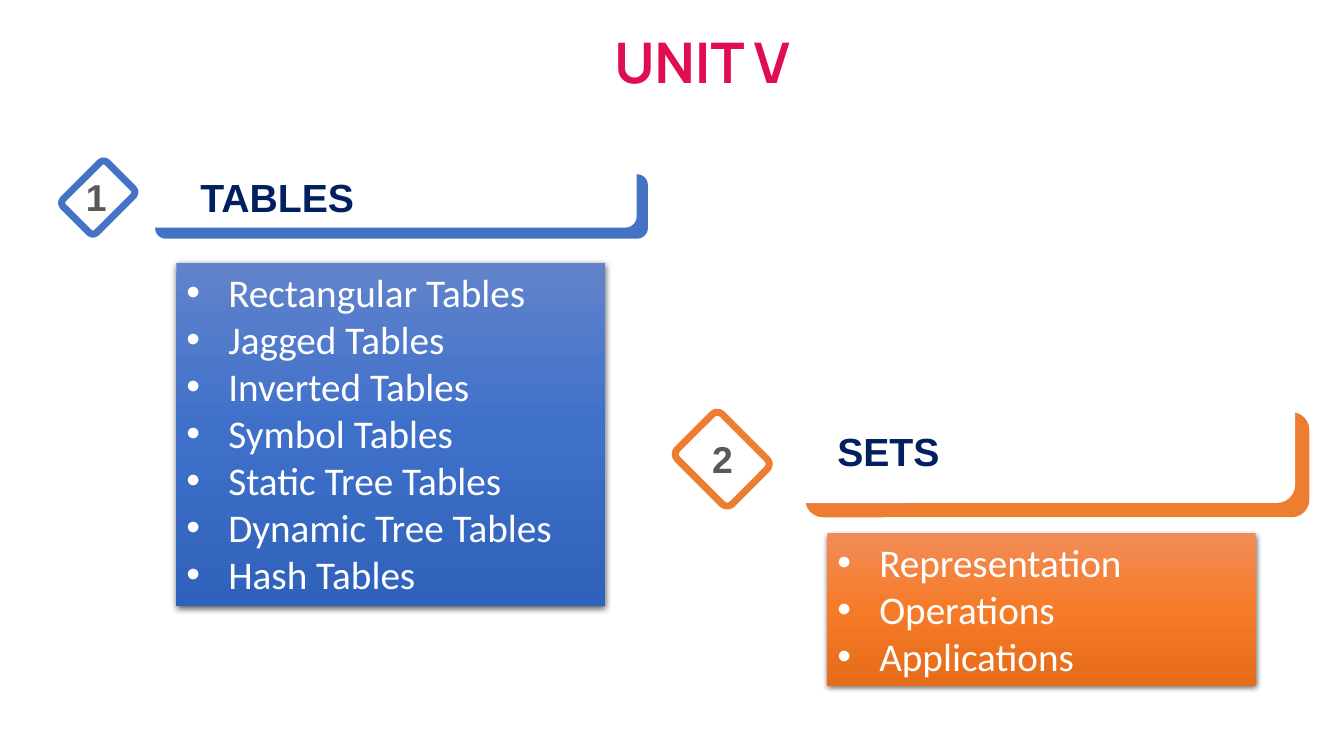
from dataclasses import dataclass

from lxml import etree
from pptx import Presentation, util as u
from pptx.dml.color import RGBColor
from pptx.enum import shapes, text
from pptx.oxml.ns import qn


@dataclass(frozen=True)
class Theme:
    white: str = "FFFFFF"
    title: str = "E00D50"
    heading: str = "002060"
    number: str = "595959"
    shadow: str = "000000"
    blue: str = "4472C4"
    orange: str = "ED7D31"
    blue_fade: tuple = ("6183CB", "3E70CA", "3062BB")
    orange_fade: tuple = ("F18C57", "F67B28", "E56C19")
    title_font: str = "Manrope"
    heading_font: str = "Arial"
    list_font: str = "Calibri"
    title_size: float = 40
    body_size: float = 28
    number_size: float = 26.7


def add_xml(parent, tag, **attributes):
    values = {name: str(value) for name, value in attributes.items()}
    return etree.SubElement(parent, qn(tag), values)


def write(para, words, *, font, size, color, bold=False, align=text.PP_ALIGN.LEFT):
    para.alignment = align
    span = para.add_run()
    span.text = words
    span.font.name = font
    span.font.size = u.Pt(size)
    span.font.bold = bold
    span.font.color.rgb = RGBColor.from_string(color)


class SlideBuilder:
    """Draws on one slide; every area is (left, top, width, height) in points."""

    def __init__(self, slide, theme):
        self.slide = slide
        self.theme = theme

    def shape(self, kind, area, fill=None, line=None, line_width=1.25):
        box = self.slide.shapes.add_shape(kind, *map(u.Pt, area))
        box.shadow.inherit = False
        if fill:
            box.fill.solid()
            box.fill.fore_color.rgb = RGBColor.from_string(fill)
        if line:
            box.line.color.rgb = RGBColor.from_string(line)
            box.line.width = u.Pt(line_width)
        else:
            box.line.fill.background()
        return box

    def label(self, area, words, margin=7.2, **style):
        frame = self.slide.shapes.add_textbox(*map(u.Pt, area)).text_frame
        frame.word_wrap = True
        frame.margin_left = frame.margin_right = u.Pt(margin)
        frame.vertical_anchor = text.MSO_ANCHOR.MIDDLE
        write(frame.paragraphs[0], words, bold=True, **style)

    def card(self, area, color, offset):
        """A white rounded card with a coloured one showing below and right."""
        left, top, width, height = area
        rounded = shapes.MSO_SHAPE.ROUNDED_RECTANGLE
        self.shape(rounded, (left + offset, top + offset, width, height), color)
        self.shape(rounded, area, self.theme.white, self.theme.white)

    def badge(self, diamond_area, number_area, number, color):
        diamond = self.shape(shapes.MSO_SHAPE.ROUNDED_RECTANGLE, diamond_area,
                             self.theme.white, color, 5)
        diamond.adjustments[0] = 0.107
        diamond.rotation = 45
        self.label(number_area, number, margin=0, font=self.theme.heading_font,
                   size=self.theme.number_size, color=self.theme.number,
                   align=text.PP_ALIGN.CENTER)

    def heading(self, area, words):
        self.label(area, words, font=self.theme.heading_font,
                   size=self.theme.body_size, color=self.theme.heading)

    def fade(self, box, colors):
        """Fill from top to bottom with evenly spaced colours."""
        box.fill.gradient()
        box.fill.gradient_angle = 270
        stops = box.fill._xPr.find(qn("a:gradFill")).find(qn("a:gsLst"))
        for stop in list(stops):
            stops.remove(stop)
        for index, color in enumerate(colors):
            position = 100000 * index // (len(colors) - 1)
            stop = add_xml(stops, "a:gs", pos=position)
            add_xml(stop, "a:srgbClr", val=color)

    def drop_shadow(self, box):
        effects = box._element.spPr.find(qn("a:effectLst"))
        shadow = add_xml(effects, "a:outerShdw", blurRad=u.Pt(4.5), dist=u.Pt(1.5),
                         dir=5400000, algn="ctr", rotWithShape=0)
        color = add_xml(shadow, "a:srgbClr", val=self.theme.shadow)
        add_xml(color, "a:alpha", val=63000)

    def bullet_list(self, area, items, colors):
        box = self.shape(shapes.MSO_SHAPE.RECTANGLE, area)
        self.fade(box, colors)
        self.drop_shadow(box)
        frame = box.text_frame
        frame.word_wrap = True
        frame.vertical_anchor = text.MSO_ANCHOR.TOP
        for index, item in enumerate(items):
            para = frame.add_paragraph() if index else frame.paragraphs[0]
            settings = para._p.get_or_add_pPr()
            settings.set("marL", str(u.Pt(30)))
            settings.set("indent", str(u.Pt(-30)))
            add_xml(settings, "a:buFont", typeface="Arial")
            add_xml(settings, "a:buChar", char="•")
            write(para, item, font=self.theme.list_font,
                  size=self.theme.body_size, color=self.theme.white)


def main():
    deck = Presentation()
    deck.slide_width, deck.slide_height = u.Pt(960), u.Pt(540)
    theme = Theme()
    page = SlideBuilder(deck.slides.add_slide(deck.slide_layouts[6]), theme)

    page.label((201, 13.7, 601, 60.5), "UNIT V", font=theme.title_font,
               size=theme.title_size, color=theme.title, align=text.PP_ALIGN.CENTER)

    page.card((102.2, 115.9, 352, 46), theme.blue, (8.6))
    page.heading((136, 120.2, 295, 41), "TABLES")
    page.badge((53.3, 118.8, 33.8, 44.6), (54, 126.7, 29.5, 28), "1", theme.blue)
    page.bullet_list((126, 188, 306, 245),
                     ["Rectangular Tables", "Jagged Tables", "Inverted Tables",
                      "Symbol Tables", "Static Tree Tables", "Dynamic Tree Tables",
                      "Hash Tables"], theme.blue_fade)

    page.card((564.5, 283.7, 360, 75), theme.orange, 10.8)
    page.heading((591, 301.7, 312, 41), "SETS")
    page.badge((488.2, 305.3, 55.4, 45.4), (501, 304.6, 30.2, 46), "2", theme.orange)
    page.bullet_list((591, 381, 306, 108.7),
                     ["Representation", "Operations", "Applications"],
                     theme.orange_fade)

    deck.save("out.pptx")


if __name__ == "__main__":
    main()
